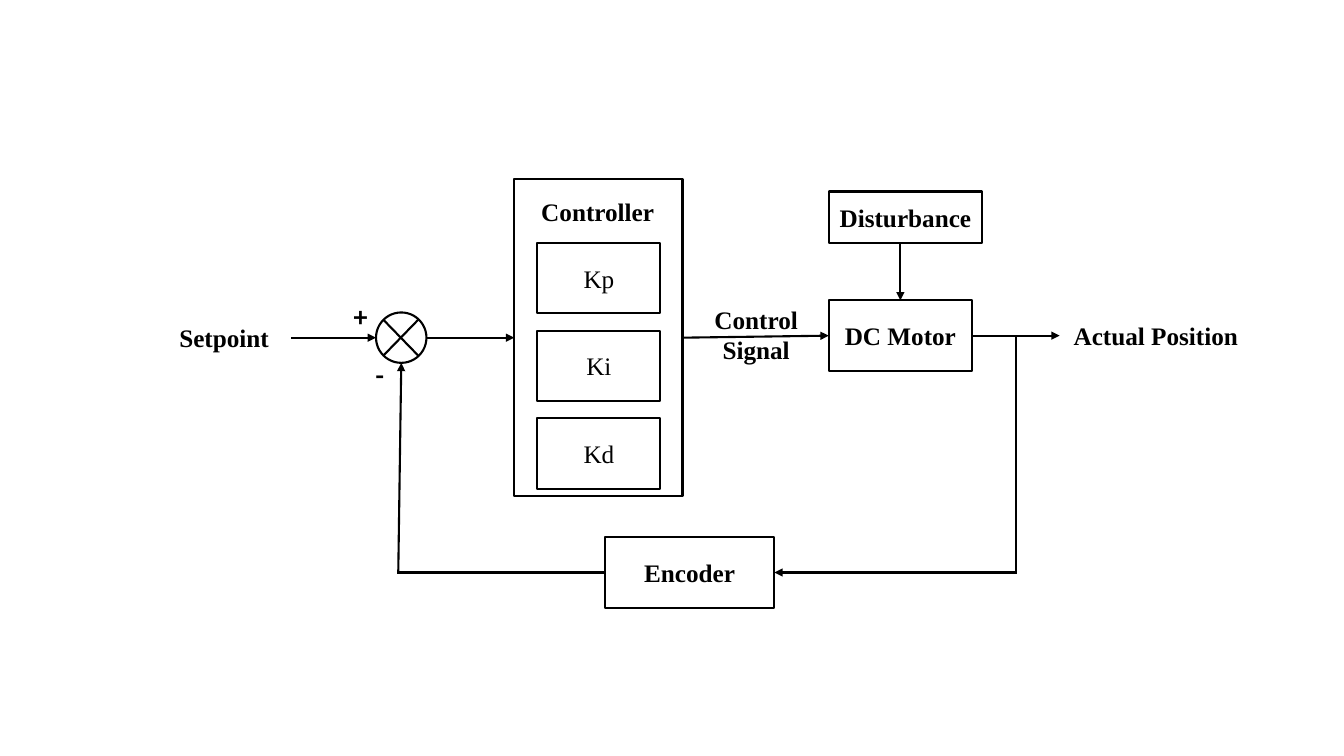
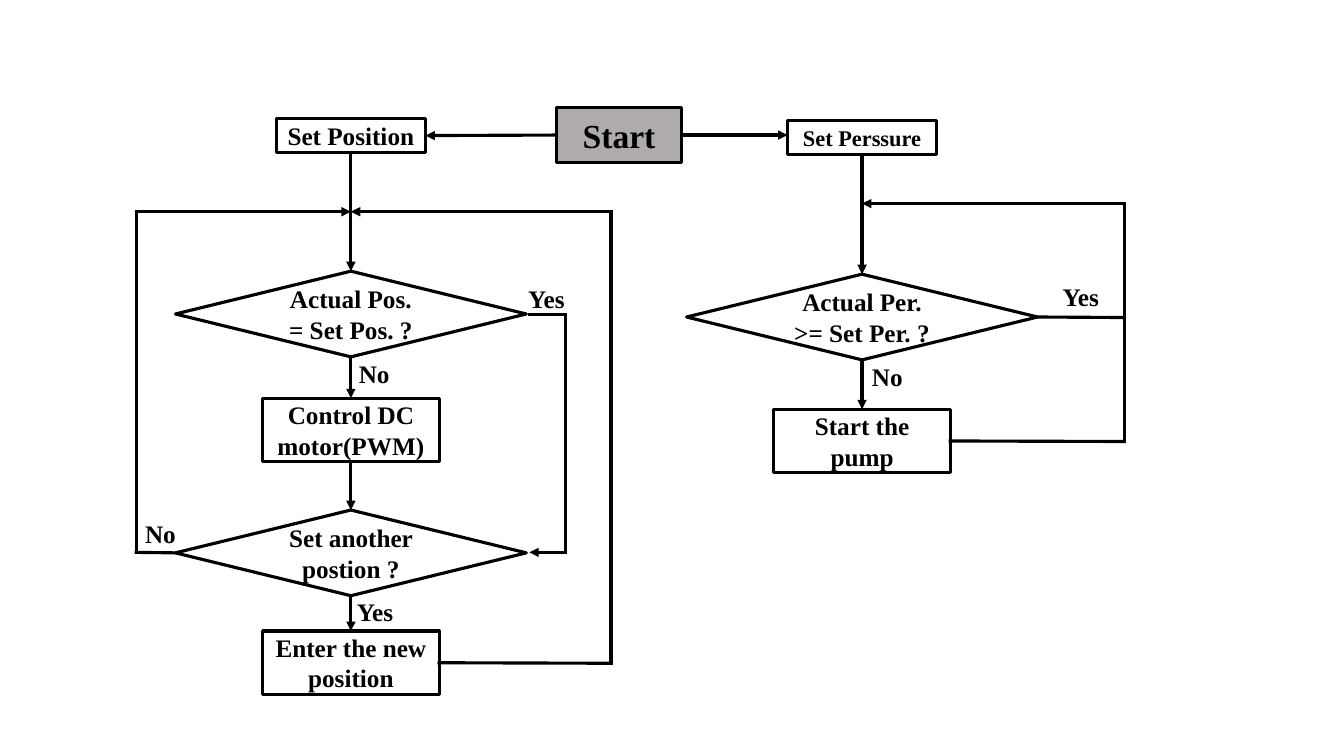
"""Build two block diagrams: a motor control loop and its program flow."""
from dataclasses import dataclass
from enum import IntEnum
from itertools import pairwise
from typing import NamedTuple, Optional, Union

from lxml.etree import SubElement
from pptx import Presentation
from pptx.dml.color import RGBColor
from pptx.enum.shapes import MSO_CONNECTOR, MSO_SHAPE
from pptx.enum.text import MSO_ANCHOR, MSO_AUTO_SIZE, PP_ALIGN
from pptx.oxml.ns import qn
from pptx.shapes.autoshape import Shape
from pptx.slide import Slide
from pptx.text.text import TextFrame
from pptx.util import Inches, Pt


@dataclass(frozen=True)
class Theme:
    """Colours, fonts and sizes shared by both diagrams."""

    ink: RGBColor = RGBColor(0x00, 0x00, 0x00)
    start_fill: RGBColor = RGBColor(0xAF, 0xAB, 0xAB)
    font: str = "Times New Roman"
    sign_font: str = "Noto Sans CJK SC"
    body: int = 18
    small: int = 16
    large: int = 24
    loop_line: float = 1.5
    flow_line: float = 2.25


THEME = Theme()


class Side(IntEnum):
    """Connection sites of rectangles and diamonds."""

    TOP = 0
    LEFT = 1
    BOTTOM = 2
    RIGHT = 3


class Point(NamedTuple):
    """A free position in inches."""

    x: float
    y: float


class Joint(NamedTuple):
    """The middle of one side of a named node."""

    node: str
    side: Side


Stop = Union[Point, Joint]


@dataclass(frozen=True)
class Node:
    """An outlined block, with lengths in inches."""

    left: float
    top: float
    width: float
    height: float
    text: str = ""
    size: int = THEME.body
    bold: bool = True
    outline: MSO_SHAPE = MSO_SHAPE.RECTANGLE
    fill: Optional[RGBColor] = None

    def site(self, side: Side) -> Point:
        """Return the middle of a side."""
        dx, dy = {Side.TOP: (0.5, 0), Side.LEFT: (0, 0.5),
                  Side.BOTTOM: (0.5, 1), Side.RIGHT: (1, 0.5)}[side]
        return Point(self.left + dx * self.width, self.top + dy * self.height)


@dataclass(frozen=True)
class Label:
    """Free bold text beside the blocks."""

    text: str
    left: float
    top: float
    width: float = 0.62
    height: float = 0.4
    font: str = THEME.font
    align: PP_ALIGN = PP_ALIGN.LEFT


@dataclass(frozen=True)
class Route:
    """A chain of straight lines, usually ending in an arrowhead."""

    stops: tuple[Stop, ...]
    arrow: bool = True


@dataclass(frozen=True)
class Diagram:
    """Everything drawn on one slide."""

    line: float
    nodes: dict[str, Node]
    routes: list[Route]
    labels: list[Label]


def route(*stops: Stop, arrow: bool = True) -> Route:
    """Collect stops into a route."""
    return Route(stops, arrow)


def style_text(frame: TextFrame, font: str, size: int, bold: bool, align: PP_ALIGN) -> None:
    """Format every paragraph of a frame alike."""
    frame.word_wrap = True
    for paragraph in frame.paragraphs:
        paragraph.alignment = align
        paragraph.font.name = font
        paragraph.font.size = Pt(size)
        paragraph.font.bold = bold
        paragraph.font.color.rgb = THEME.ink


def draw_node(slide: Slide, node: Node, line: float) -> Shape:
    """Draw one block with its centred text."""
    block = slide.shapes.add_shape(node.outline, Inches(node.left), Inches(node.top),
                                   Inches(node.width), Inches(node.height))
    block.shadow.inherit = False
    if node.fill is None:
        block.fill.background()
    else:
        block.fill.solid()
        block.fill.fore_color.rgb = node.fill
    block.line.color.rgb = THEME.ink
    block.line.width = Pt(line)
    if node.text:
        block.text_frame.text = node.text
        block.text_frame.vertical_anchor = MSO_ANCHOR.MIDDLE
        style_text(block.text_frame, THEME.font, node.size, node.bold, PP_ALIGN.CENTER)
    return block


def draw_label(slide: Slide, label: Label) -> None:
    """Draw one free label."""
    frame = slide.shapes.add_textbox(Inches(label.left), Inches(label.top),
                                     Inches(label.width), Inches(label.height)).text_frame
    frame.text = label.text
    frame.auto_size = MSO_AUTO_SIZE.SHAPE_TO_FIT_TEXT
    style_text(frame, label.font, THEME.body, True, label.align)


def draw_route(slide: Slide, path: Route, diagram: Diagram, blocks: dict[str, Shape]) -> None:
    """Draw the lines of a route and join its ends to the blocks."""
    legs = list(pairwise(path.stops))
    for number, (start, end) in enumerate(legs, 1):
        ends = [diagram.nodes[stop.node].site(stop.side) if isinstance(stop, Joint) else stop
                for stop in (start, end)]
        leg = slide.shapes.add_connector(MSO_CONNECTOR.STRAIGHT,
                                         *(Inches(value) for point in ends for value in point))
        if isinstance(start, Joint):
            leg.begin_connect(blocks[start.node], start.side)
        if isinstance(end, Joint):
            leg.end_connect(blocks[end.node], end.side)
        leg.line.color.rgb = THEME.ink
        leg.line.width = Pt(diagram.line)
        properties = leg.line._get_or_add_ln()
        if number < len(legs):
            properties.set("cap", "sq")
        elif path.arrow:
            SubElement(properties, qn("a:tailEnd"), type="triangle")
        SubElement(leg._element.spPr, qn("a:effectLst"))


def draw_diagram(slide: Slide, diagram: Diagram) -> None:
    """Draw blocks, routes and labels."""
    blocks = {name: draw_node(slide, node, diagram.line)
              for name, node in diagram.nodes.items()}
    for path in diagram.routes:
        draw_route(slide, path, diagram, blocks)
    for label in diagram.labels:
        draw_label(slide, label)


def control_loop() -> Diagram:
    """Describe the feedback loop of the motor."""
    block_height, signal_y, output_y, feedback_y = 0.7, 3.35, 3.33, 5.68
    nodes = {
        "sum": Node(3.73, 3.1, 0.5, 0.5, outline=MSO_SHAPE.FLOWCHART_CONNECTOR),
        "controller": Node(5.1, 1.78, 1.67, 3.14),
        "motor": Node(8.22, 2.98, 1.42, block_height, "DC Motor"),
        "encoder": Node(6, 5.33, 1.68, block_height, "Encoder"),
        "disturbance": Node(8.22, 1.9, 1.52, 0.51, "Disturbance"),
    }
    for row, gain in enumerate(("Kp", "Ki", "Kd")):
        nodes[gain] = Node(5.33, 2.41 + 0.87 * row, 1.22, block_height, gain, bold=False)
    routes = [
        route(Point(3.8, 3.17), Point(4.15, 3.53), arrow=False),
        route(Point(4.15, 3.17), Point(3.8, 3.53), arrow=False),
        route(Point(2.89, signal_y), Point(3.73, signal_y)),
        route(Point(4.23, signal_y), Joint("controller", Side.LEFT)),
        route(Joint("controller", Side.RIGHT), Joint("motor", Side.LEFT)),
        route(Joint("motor", Side.RIGHT), Point(10.51, output_y)),
        route(Point(10.08, output_y), Point(10.08, feedback_y), Joint("encoder", Side.RIGHT)),
        route(Joint("encoder", Side.LEFT), Point(3.95, feedback_y), Point(3.98, 3.6)),
        route(Point(8.93, 2.41), Joint("motor", Side.TOP)),
    ]
    labels = [
        Label("Setpoint", 1.68, 3.15, 1.22),
        Label("+", 3.41, 2.95, 0.23, font=THEME.sign_font),
        Label("-", 3.63, 3.52, 0.23, font=THEME.sign_font),
        Label("Controller", 5.27, 1.9, 1.33),
        Label("Control Signal", 6.72, 2.97, 1.56, 0.71, align=PP_ALIGN.CENTER),
        Label("Actual Position", 10.55, 3.13, 2.1),
    ]
    return Diagram(THEME.loop_line, nodes, routes, labels)


def program_flow() -> Diagram:
    """Describe the position and pressure branches of the program."""
    position_x, pressure_x = 3.48, 8.55
    position_loop_y, pressure_loop_y = 2.1, 2.02

    def setting(centre: float, top: float, text: str, size: int = THEME.body) -> Node:
        """Return a set-value block."""
        return Node(centre - 0.74, top, 1.48, 0.33, text, size)

    def decision(centre: float, top: float, text: str) -> Node:
        """Return a decision diamond."""
        return Node(centre - 1.74, top, 3.48, 0.85, text, outline=MSO_SHAPE.DIAMOND)

    def action(centre: float, top: float, text: str) -> Node:
        """Return an action block."""
        return Node(centre - 0.875, top, 1.75, 0.63, text)

    nodes = {
        "start": Node(5.52, 1.07, 1.24, 0.54, "Start", THEME.large, fill=THEME.start_fill),
        "position": setting(position_x, 1.18, "Set Position"),
        "reached": decision(position_x, 2.69, "Actual Pos.\n= Set Pos. ?"),
        "drive": action(position_x, 3.95, "Control DC motor(PWM)"),
        "another": decision(position_x, 5.06, "Set another postion ?"),
        "enter": action(position_x, 6.26, "Enter the new position"),
        "pressure": setting(pressure_x, 1.2, "Set Perssure", THEME.small),
        "enough": decision(pressure_x, 2.72, "Actual Per.\n>= Set Per. ?"),
        "pump": action(pressure_x, 4.06, "Start the pump"),
    }
    columns = (("position", "reached", "drive", "another", "enter"),
               ("pressure", "enough", "pump"))
    routes = [route(Joint(upper, Side.BOTTOM), Joint(lower, Side.TOP))
              for column in columns for upper, lower in pairwise(column)]
    routes += [
        route(Joint("start", Side.LEFT), Joint("position", Side.RIGHT)),
        route(Joint("start", Side.RIGHT), Point(7.81, 1.34)),
        route(Point(5.25, 3.12), Point(5.61, 3.12), Point(5.61, 5.48), Point(5.25, 5.48)),
        route(Joint("another", Side.LEFT), Point(1.35, 5.48),
              Point(1.35, position_loop_y), Point(position_x, position_loop_y)),
        route(Joint("enter", Side.RIGHT), Point(6.06, 6.58),
              Point(6.06, position_loop_y), Point(position_x, position_loop_y)),
        route(Joint("pump", Side.RIGHT), Point(11.15, 4.38),
              Point(11.15, pressure_loop_y), Point(pressure_x, pressure_loop_y)),
        route(Joint("enough", Side.RIGHT), Point(11.15, 3.15), arrow=False),
    ]
    labels = [Label(*answer) for answer in (
        ("Yes", 5.14, 2.76), ("No", 3.46, 3.51), ("Yes", 3.44, 5.87),
        ("No", 1.34, 5.09), ("No", 8.55, 3.54), ("Yes", 10.44, 2.74))]
    return Diagram(THEME.flow_line, nodes, routes, labels)


def main() -> None:
    """Build and save the presentation."""
    deck = Presentation()
    deck.slide_width, deck.slide_height = Inches(13.33), Inches(7.5)
    blank_layout = deck.slide_layouts.get_by_name("Blank")
    for diagram in (control_loop(), program_flow()):
        draw_diagram(deck.slides.add_slide(blank_layout), diagram)
    deck.save("out.pptx")


if __name__ == "__main__":
    main()
